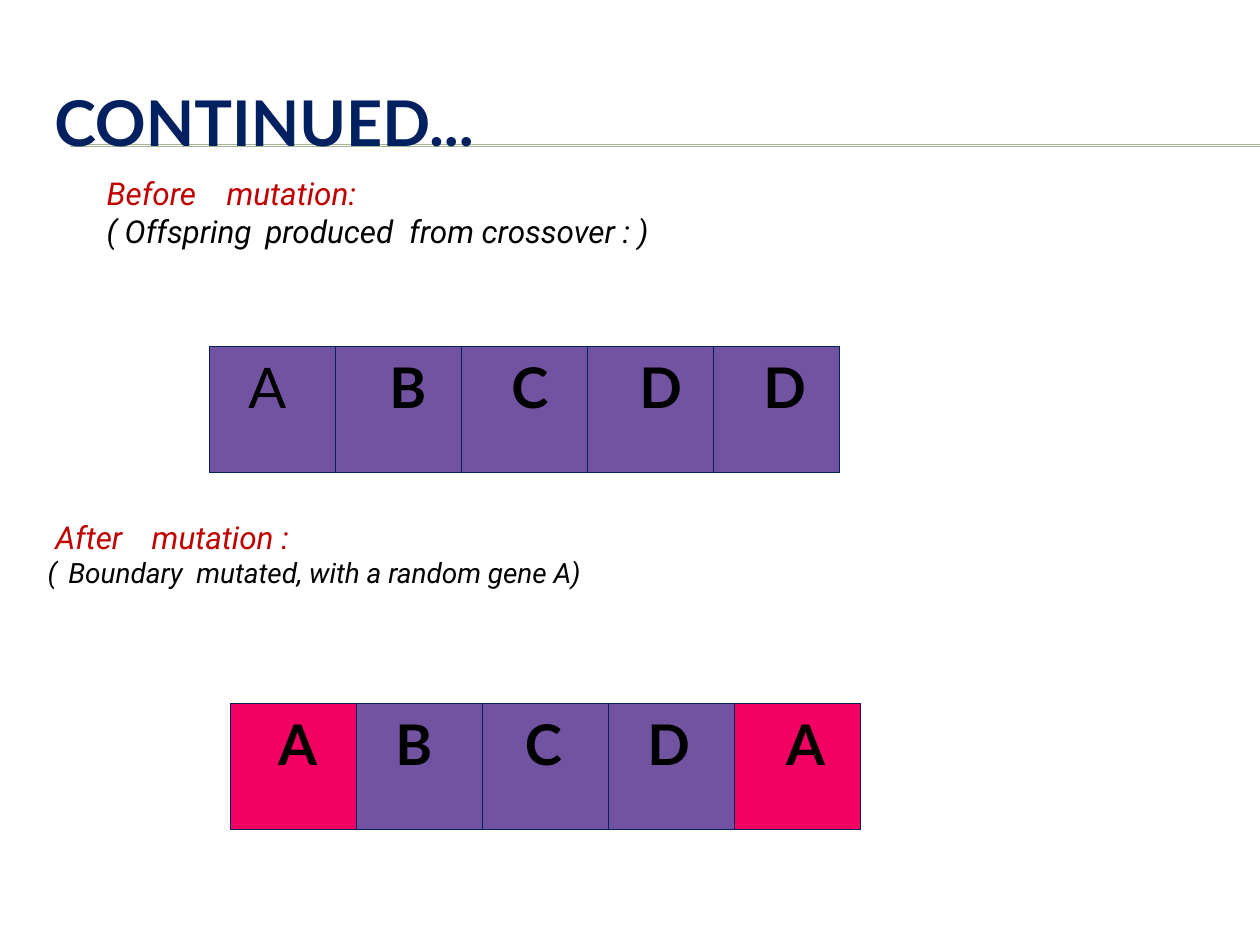
from dataclasses import dataclass

from pptx import Presentation
from pptx.dml.color import RGBColor as RGB
from pptx.enum.shapes import MSO_CONNECTOR as CONN, MSO_SHAPE as SHAPE
from pptx.enum.text import MSO_ANCHOR as ANCHOR, PP_ALIGN as ALIGN
from pptx.oxml.ns import qn
from pptx.util import Cm, Pt
from lxml.etree import SubElement


@dataclass(frozen=True)
class Theme:
    navy: str = "002060"
    green: str = "A5B592"
    red: str = "C00000"
    black: str = "000000"
    purple: str = "7153A1"
    pink: str = "F20062"
    head_font: str = "Lato"
    body_font: str = "Roboto"
    title_size: int = 36
    gene_size: int = 32
    label_size: int = 18
    note_size: int = 16
    line_width: float = 0.75


class SlideBuilder:
    """Draws styled elements on the current slide."""

    def __init__(self, s, theme):
        self.s = s
        self.theme = theme

    def style(self, p, font, size, color, bold=False, italic=False):
        p.alignment = ALIGN.LEFT
        for r in p.runs:
            f = r.font
            f.name, f.size, f.bold, f.italic = font, Pt(size), bold, italic
            f.color.rgb = RGB.from_string(color)

    def outline(self, sp, color):
        sp.line.color.rgb = RGB.from_string(color)
        sp.line.width = Pt(self.theme.line_width)

    def title(self, text, x, y, w, h):
        t = self.theme
        sp = self.s.shapes.title
        sp.left, sp.top, sp.width, sp.height = Cm(x), Cm(y), Cm(w), Cm(h)
        tf = sp.text_frame
        tf.text = text
        tf.vertical_anchor = ANCHOR.MIDDLE
        self.style(tf.paragraphs[0], t.head_font, t.title_size, t.navy, bold=True)

    def rule(self, x1, x2, y):
        sp = self.s.shapes.add_connector(CONN.STRAIGHT, Cm(x1), Cm(y), Cm(x2), Cm(y))
        self.outline(sp, self.theme.green)
        SubElement(sp._element.spPr, qn("a:effectLst"))
        self.s.shapes.title._element.addprevious(sp._element)

    def tab_stops(self, p, stops):
        tabs = SubElement(p._p.get_or_add_pPr(), qn("a:tabLst"))
        for stop in stops:
            SubElement(tabs, qn("a:tab"), pos=str(Cm(stop)), algn="l")

    def caption(self, x, y, w, h, lines):
        tf = self.s.shapes.add_textbox(Cm(x), Cm(y), Cm(w), Cm(h)).text_frame
        tf.word_wrap = True
        tf.text = "\n".join(text for text, *_ in lines)
        for p, (_, size, color, stops) in zip(tf.paragraphs, lines):
            self.style(p, self.theme.body_font, size, color, italic=True)
            self.tab_stops(p, stops)

    def gene(self, text, x, y, size, fill, inset, bold):
        t = self.theme
        sp = self.s.shapes.add_shape(SHAPE.RECTANGLE, Cm(x), Cm(y), Cm(size), Cm(size))
        sp.shadow.inherit = False
        sp.fill.solid()
        sp.fill.fore_color.rgb = RGB.from_string(fill)
        self.outline(sp, t.navy)
        tf = sp.text_frame
        tf.text = text
        tf.vertical_anchor = ANCHOR.TOP
        tf.margin_left = Cm(inset)
        self.style(tf.paragraphs[0], t.head_font, t.gene_size, t.black, bold)

    def chromosome(self, x, y, genes, insets, mutated=(), light=()):
        t, size = self.theme, 2.54
        for i, (text, inset) in enumerate(zip(genes, insets)):
            fill = t.pink if i in mutated else t.purple
            self.gene(text, x + i * size, y, size, fill, inset, i not in light)


def main():
    prs = Presentation()
    prs.slide_width, prs.slide_height = Cm(25.4), Cm(19.05)
    t = Theme()
    b = SlideBuilder(prs.slides.add_slide(prs.slide_layouts[5]), t)
    b.title("CONTINUED...", 0.84, 1.27, 24.13, 2.34)
    for y in (2.92, 2.95):
        b.rule(1.42, 25.4, y)
    b.caption(0.71, 10.31, 24.21, 1.7, [
        (" After\tmutation :", t.label_size, t.red, [2.1]),
        ("(\tBoundary\tmutated, with a random gene A)", t.note_size, t.black, [0.42, 3]),
    ])
    b.caption(1.9, 3.38, 13.77, 1.8, [
        ("Before\tmutation:", t.label_size, t.red, [2.42]),
        ("( Offspring\tproduced\tfrom crossover : )", t.label_size, t.black, [3.2, 6.1]),
    ])
    b.chromosome(4.23, 6.98, "ABCDD", [0.78, 1.08, 1, 1.04, 1], light=[0])
    b.chromosome(4.65, 14.18, "ABCDA", [0.96, 0.78, 0.85, 0.78, 1.04], mutated=[0, 4])
    prs.save("out.pptx")


if __name__ == "__main__":
    main()
